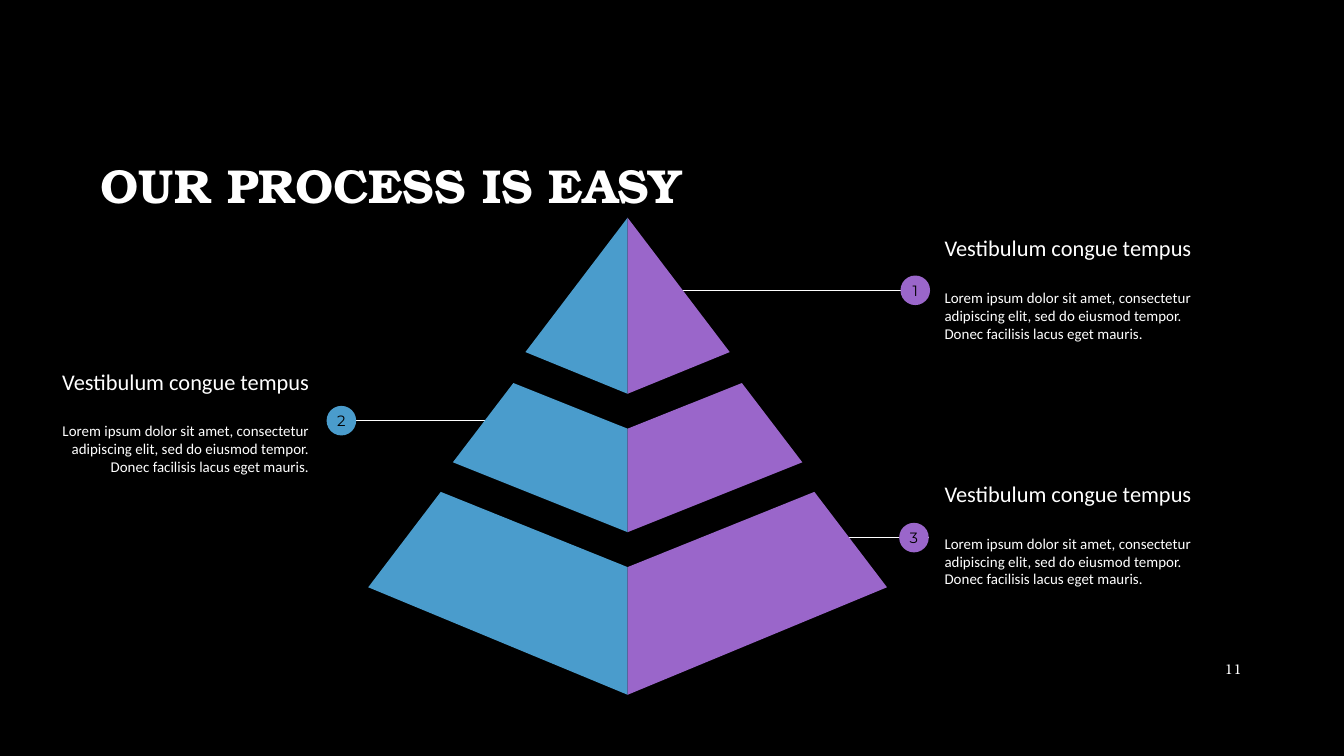
"""Build a pyramid slide with three numbered steps."""
from lxml import etree
from pptx import Presentation
from pptx.dml.color import RGBColor
from pptx.enum.shapes import MSO_CONNECTOR as Line, MSO_SHAPE as Shape
from pptx.enum.text import MSO_ANCHOR as Anchor, PP_ALIGN as Align
from pptx.oxml.ns import qn
from pptx.util import Inches, Pt

BLACK = RGBColor(0x00, 0x00, 0x00)
WHITE = RGBColor(0xFF, 0xFF, 0xFF)
BLUE = RGBColor(0x4A, 0x9C, 0xCC)
PURPLE = RGBColor(0x9A, 0x66, 0xCA)
SERIF = "TeX Gyre Bonum"
HEAD = "Vestibulum congue tempus"
BODY = ("Lorem ipsum dolor sit amet, consectetur adipiscing elit, "
        "sed do eiusmod tempor. Donec facilisis lacus eget mauris.")

deck = Presentation()
deck.slide_width = Inches(10)
deck.slide_height = deck.slide_width * 9 // 16
slide = deck.slides.add_slide(deck.slide_layouts[6])
slide.background.fill.solid()
slide.background.fill.fore_color.rgb = BLACK
shapes = slide.shapes


def write(shape, items, font, align, anchor, inset=0, color=WHITE):
    frame = shape.text_frame
    frame.word_wrap = True
    frame.vertical_anchor = anchor
    frame.margin_left = frame.margin_right = Inches(inset)
    frame.margin_top = frame.margin_bottom = Inches(inset)
    frame.text = "\n".join(text for text, size in items)
    for para, (text, size) in zip(frame.paragraphs, items):
        para.alignment = align
        para.font.name = font
        para.font.size = Pt(size)
        para.font.color.rgb = color
    return frame.paragraphs


def paint(shape, color):
    shape.shadow.inherit = False
    shape.fill.solid()
    shape.fill.fore_color.rgb = color
    shape.line.fill.background()


title = shapes.add_textbox(Inches(0.75), Inches(0.5), Inches(8.49), Inches(1.09))
para = write(title, [("OUR PROCESS IS EASY", 25.5)], SERIF, Align.LEFT, Anchor.BOTTOM)[0]
para.font.bold = True
para.line_spacing = 0.9

page = shapes.add_textbox(Inches(8.62), Inches(4.83), Inches(0.62), Inches(0.3))
write(page, [("11", 7.5)], SERIF, Align.RIGHT, Anchor.MIDDLE)

DOT = 0.22
steps = [
    ("1", 5.03, 6.91, 2.16, 6.7, 6.93, 1.39, PURPLE, Align.LEFT),
    ("2", 3.64, 2.5, 3.13, 2.43, 0.36, 2.38, BLUE, Align.RIGHT),
    ("3", 6.27, 6.91, 4, 6.69, 6.93, 3.22, PURPLE, Align.LEFT),
]
for num, start, end, mid, left, text_x, text_y, color, align in steps:
    link = shapes.add_connector(Line.STRAIGHT, Inches(start), Inches(mid), Inches(end), Inches(mid))
    link.line.color.rgb = WHITE
    link.line.width = Pt(0.75)
    etree.SubElement(link._element.spPr, qn("a:effectLst"))

    note = shapes.add_textbox(Inches(text_x), Inches(text_y), Inches(2.04), Inches(1.51))
    paras = write(note, [(HEAD, 12), (BODY, 8)], "Calibri", align, Anchor.MIDDLE, 0.1)
    paras[0].space_after = Pt(14.4)

    dot = shapes.add_shape(Shape.OVAL, Inches(left), Inches(mid - DOT / 2), Inches(DOT), Inches(DOT))
    paint(dot, color)
    write(dot, [(num, 8)], "Montserrat", Align.CENTER, Anchor.MIDDLE, color=BLACK)
    dot.text_frame.word_wrap = False

AXIS = 4.67
tiers = [
    [(3.28, 3.66), (2.74, 4.37), (AXIS, 5.17), (AXIS, 4.22)],
    [(3.82, 2.85), (3.37, 3.44), (AXIS, 3.96), (AXIS, 3.19)],
    [(AXIS, 1.62), (3.91, 2.62), (AXIS, 2.93)],
]
for tier in tiers:
    for side, color in ((1, BLUE), (-1, PURPLE)):
        points = [(Inches(AXIS + side * (x - AXIS)), Inches(y)) for x, y in tier]
        path = shapes.build_freeform(*points[0])
        path.add_line_segments(points[1:], close=True)
        paint(path.convert_to_shape(), color)

deck.save("out.pptx")
